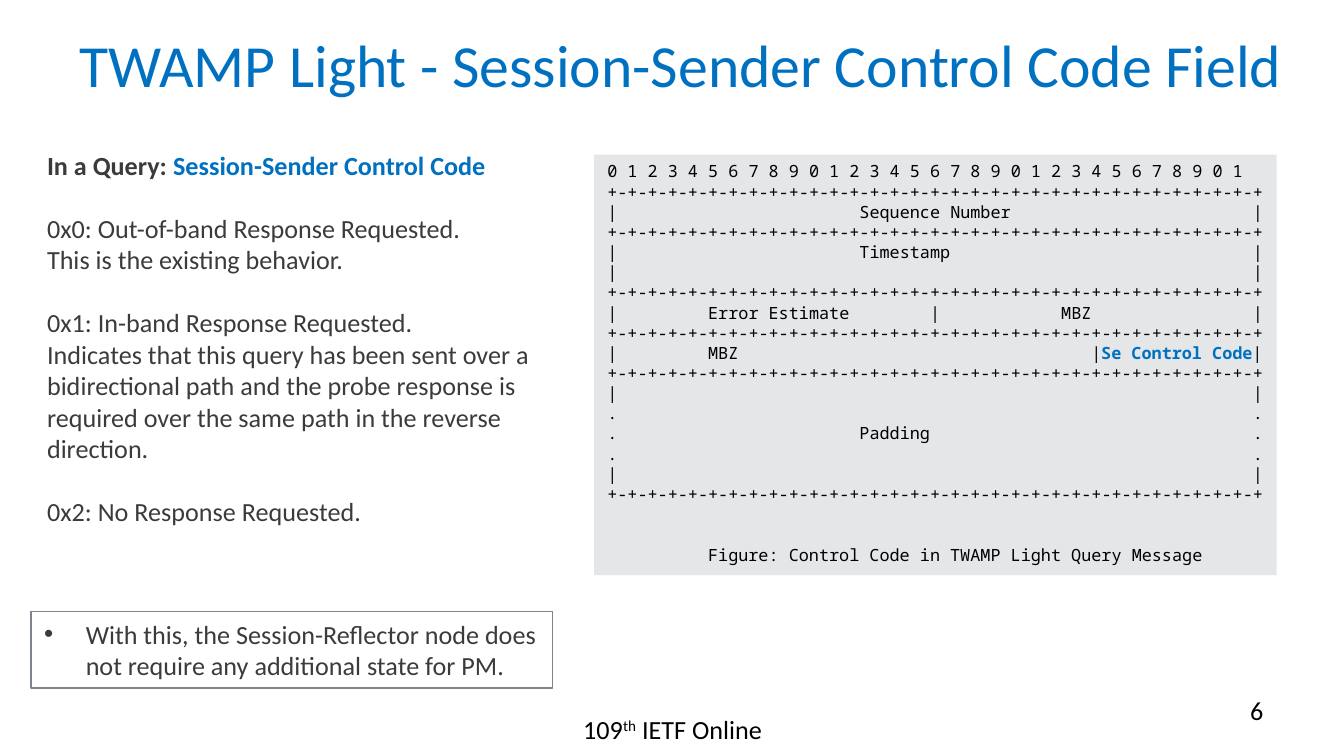
from pptx import Presentation
from pptx.dml.color import RGBColor
from pptx.enum import shapes, text
from pptx.oxml.ns import qn
from pptx.util import Inches, Pt
from lxml import etree

COLORS = {"accent": "0070C0", "ink": "3B3B3B", "black": "000000",
          "panel": "E5E6E8", "border": "7E848D"}
LEFT, CENTER, RIGHT = text.PP_ALIGN.LEFT, text.PP_ALIGN.CENTER, text.PP_ALIGN.RIGHT


def write(frame, words, size=14, font="Calibri", color="ink", bold=False, align=LEFT,
          before=0, line=None, raised=False, bullet=None, left=0, hang=0, same=False):
    paragraph = frame.paragraphs[-1]
    if not same:
        if paragraph.runs:
            paragraph = frame.add_paragraph()
        paragraph.alignment = align
        paragraph.space_before = Pt(before)
        if line:
            paragraph.line_spacing = Pt(line)
        props = paragraph._p.get_or_add_pPr()
        props.set("marL", str(Inches(left)))
        props.set("indent", str(Inches(-hang)))
        if bullet:
            etree.SubElement(props, qn("a:buFont")).set("typeface", "Arial")
            etree.SubElement(props, qn("a:buChar")).set("char", bullet)
        else:
            etree.SubElement(props, qn("a:buNone"))
    run = paragraph.add_run()
    run.text = words
    run.font.size = Pt(size)
    run.font.name = font
    run.font.bold = bold
    run.font.color.rgb = RGBColor.from_string(COLORS[color])
    if raised:
        run._r.get_or_add_rPr().set("baseline", "30000")


def place(shape, left, top, width, height, anchor=text.MSO_ANCHOR.TOP):
    shape.left, shape.top = Inches(left), Inches(top)
    shape.width, shape.height = Inches(width), Inches(height)
    frame = shape.text_frame
    frame.word_wrap = True
    frame.auto_size = text.MSO_AUTO_SIZE.NONE
    frame.vertical_anchor = anchor
    return frame


prs = Presentation()
prs.slide_width, prs.slide_height = Inches(10), Inches(10 * 9 / 16)
slide = prs.slides.add_slide(prs.slide_layouts[1])

title = place(slide.shapes.title, 0.32, 0, 9.5, 0.94, text.MSO_ANCHOR.MIDDLE)
write(title, "TWAMP Light - Session-Sender Control Code Field",
      size=32, color="accent", align=CENTER)

codes = place(slide.placeholders[1], 0.25, 1.06, 4.08, 2.93)
write(codes, "In a Query: ", bold=True)
write(codes, "Session-Sender Control Code", color="accent", bold=True, same=True)
for code, meaning in [
    ("0x0: Out-of-band Response Requested.", "This is the existing behavior."),
    ("0x1: In-band Response Requested.",
     "Indicates that this query has been sent over a bidirectional path and the probe "
     "response is required over the same path in the reverse direction."),
    ("0x2: No Response Requested.", None),
]:
    write(codes, code, before=17)
    if meaning:
        write(codes, meaning)

venue = place(slide.shapes.add_textbox(0, 0, 0, 0), 3.42, 5.26, 3.17, 0.39)
write(venue, "109", color="black", align=CENTER)
write(venue, "th", color="black", raised=True, same=True)
write(venue, " IETF Online", color="black", same=True)

page = place(slide.shapes.add_textbox(0, 0, 0, 0), 7.17, 5.12, 2.33, 0.39)
write(page, "6", color="black", align=RIGHT)

packet_panel = slide.shapes.add_shape(shapes.MSO_SHAPE.RECTANGLE, 0, 0, 0, 0)
packet_panel.shadow.inherit = False
packet_panel.fill.solid()
packet_panel.fill.fore_color.rgb = RGBColor.from_string(COLORS["panel"])
packet_panel.line.fill.background()
packet = place(packet_panel, 4.42, 1.15, 5.08, 3.13)

mono = {"size": 9, "font": "Noto Sans Mono", "color": "black"}
BITS = 32
ruler = " ".join(str(bit % 10) for bit in range(BITS))
border = "+-" * BITS + "+"


def field(label="", indent=24, edge="|", bits=BITS):
    return edge + (" " * indent + label).ljust(2 * bits - 1)


blank = field() + "|"
dotted = field(edge=".") + "."
control_code = "Se Control Code"
rows = [
    ruler, border,
    field("Sequence Number") + "|", border,
    field("Timestamp") + "|", blank, border,
    field("Error Estimate", 9, bits=16) + field("MBZ", 12, bits=16) + "|", border,
    field("MBZ", 9, bits=24) + "|" + control_code + "|", border,
    blank, dotted, field("Padding", edge=".") + ".", dotted, blank, border,
]
for row in rows:
    start, marked, end = row.partition(control_code)
    write(packet, start, line=10.8, **mono)
    if marked:
        write(packet, marked, **{**mono, "color": "accent"}, bold=True, same=True)
        write(packet, end, **mono, same=True)
write(packet, "Figure: Control Code in TWAMP Light Query Message",
      before=21.9, line=10.8, left=0.75, **mono)

benefit_box = slide.shapes.add_shape(shapes.MSO_SHAPE.RECTANGLE, 0, 0, 0, 0)
benefit_box.shadow.inherit = False
benefit_box.fill.background()
benefit_box.line.color.rgb = RGBColor.from_string(COLORS["border"])
benefit_box.line.width = Pt(0.75)
benefit = place(benefit_box, 0.23, 4.55, 3.88, 0.57)
write(benefit, "With this, the Session-Reflector node does not require any additional state for PM.",
      bullet="•", left=0.31, hang=0.31)

prs.save("out.pptx")
